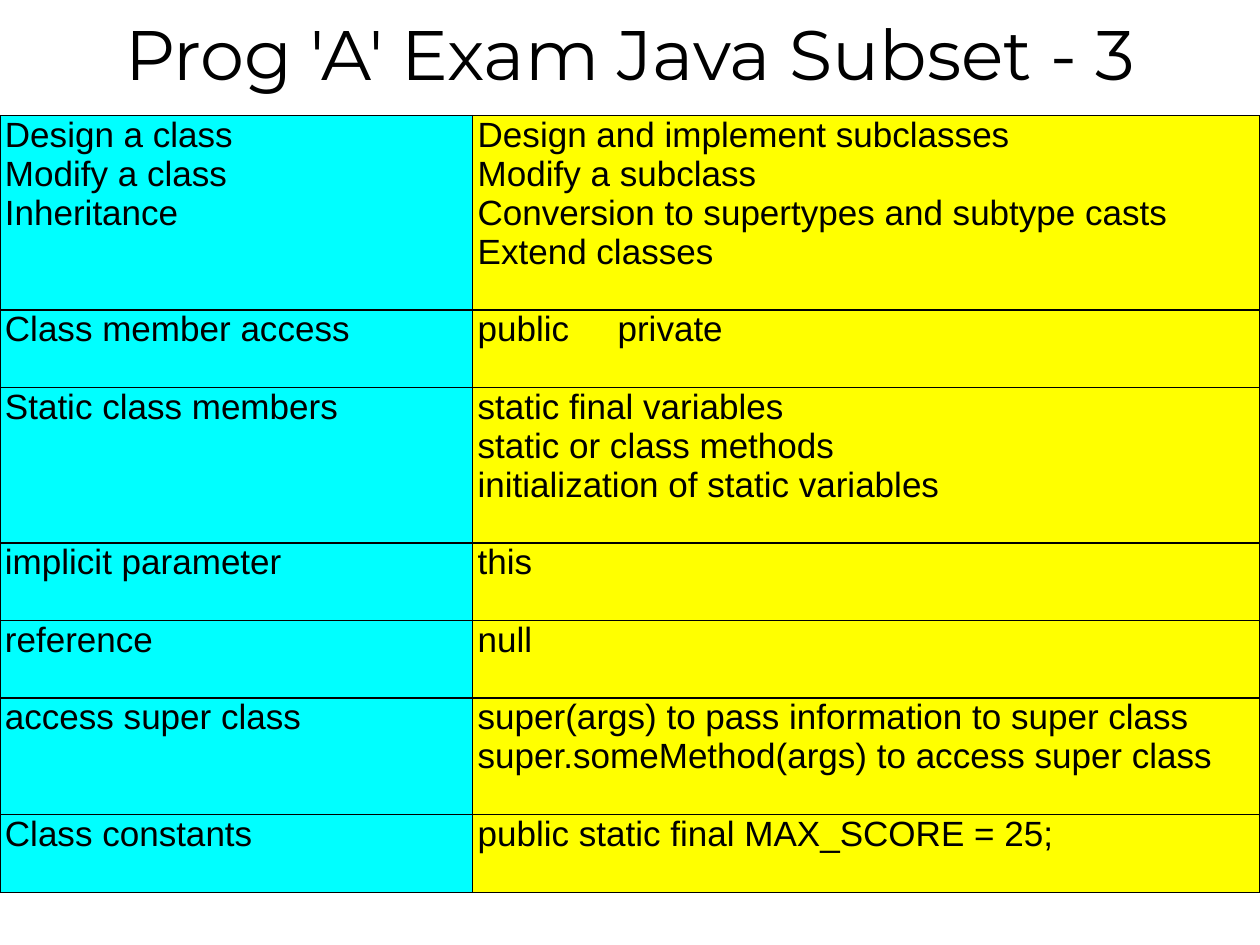
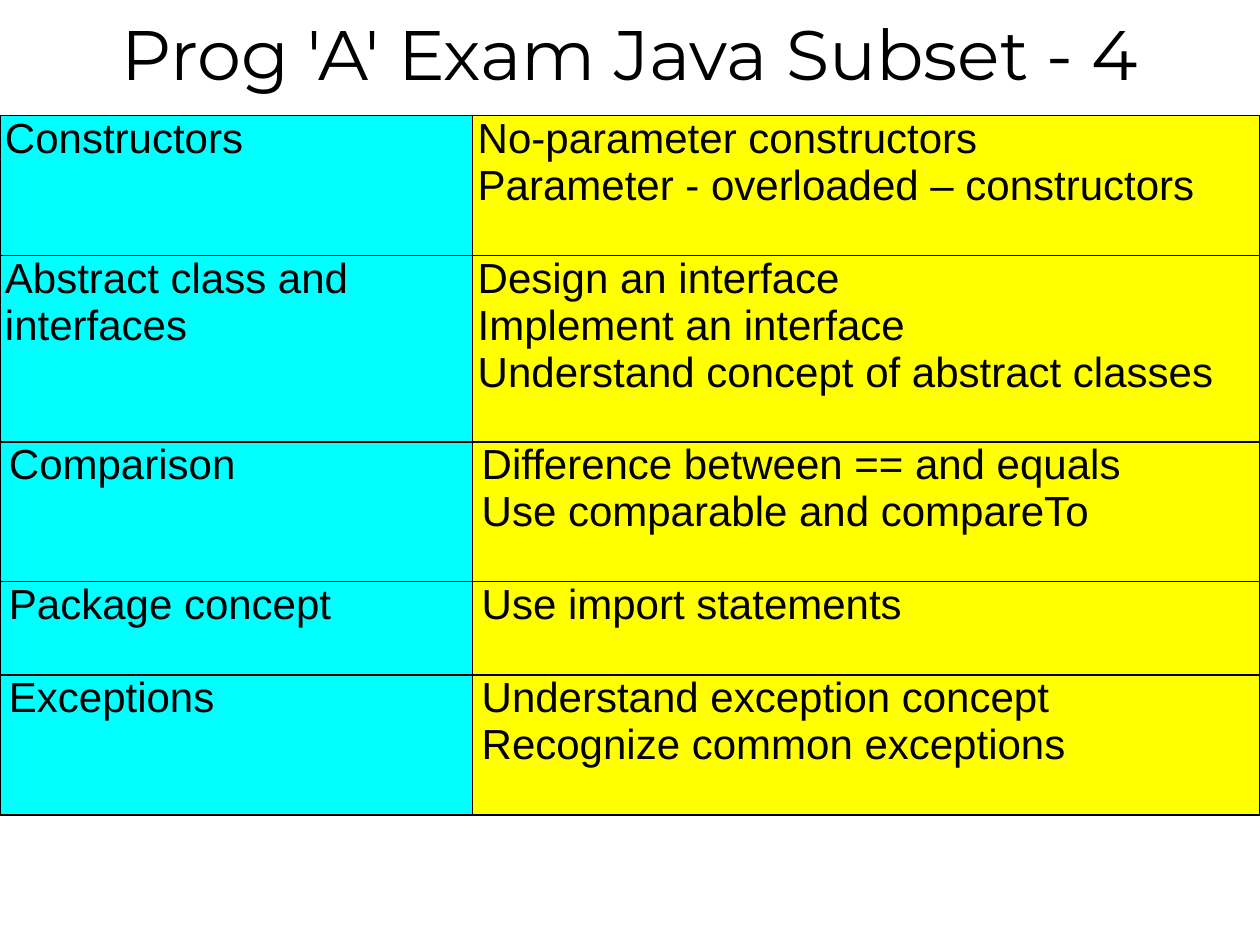
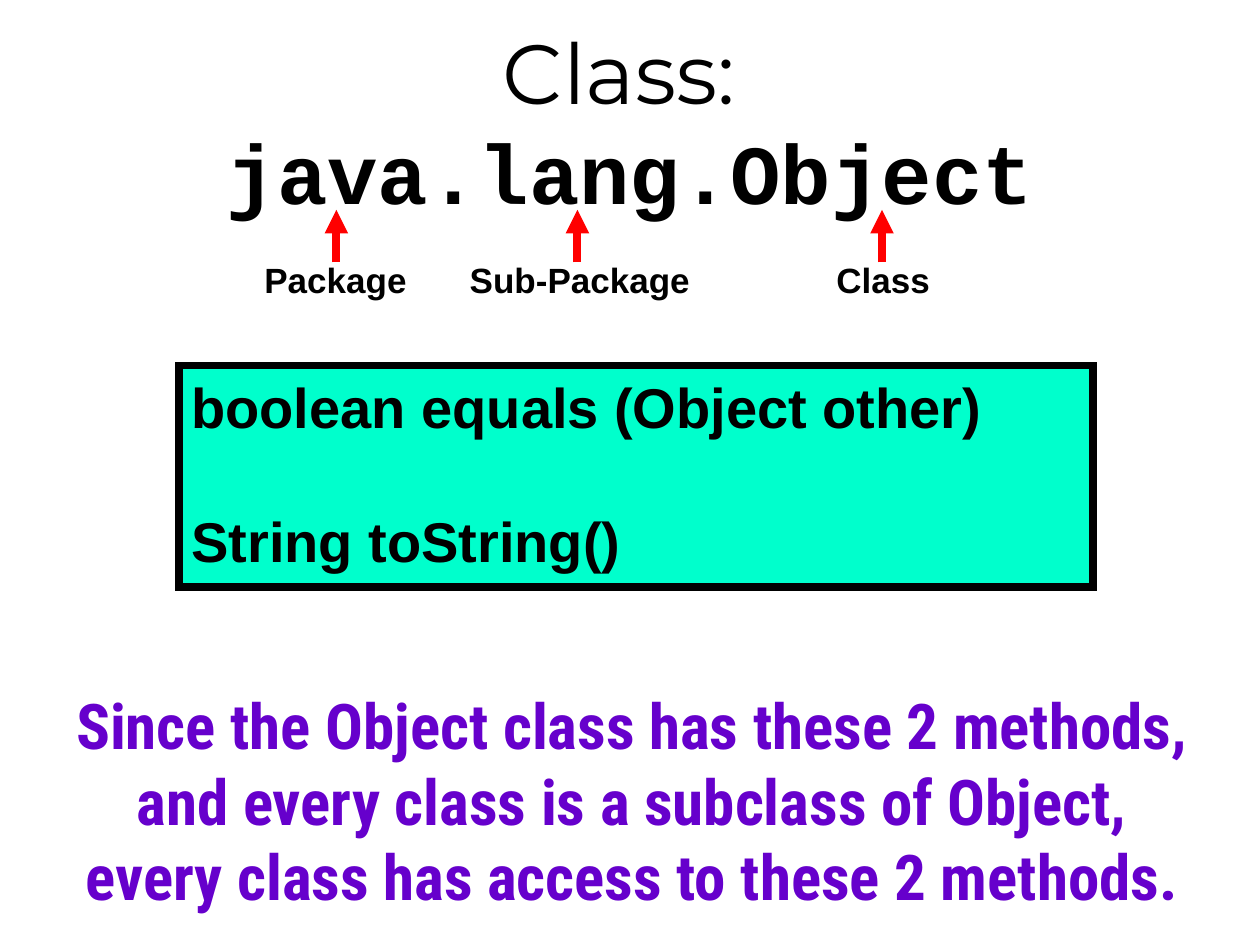
"""Builds three slides on a Java exam subset and the Object class."""
import pptx
import pptx.dml.color
import pptx.enum.shapes
import pptx.enum.text
import pptx.oxml.ns
import pptx.util
from lxml import etree

Cm, Pt = pptx.util.Cm, pptx.util.Pt
ALIGN = pptx.enum.text.PP_ALIGN
ANCHOR = pptx.enum.text.MSO_ANCHOR
qn = pptx.oxml.ns.qn

COLORS = {"text": "000000", "topic": "00FFFF", "detail": "FFFF00",
          "methods": "00FFCC", "arrow": "FF0000", "note": "6600CC"}
WIDTH, HEIGHT = 25.4, 19.05
TABLE_TOP = 2.33
COLUMNS = (("topic", 9.53), ("detail", 15.87))
NARROW, WIDE = 0.1, 0.18
LINE_HEIGHT = 1.11
TAB_STOP = 2.82

SUBSETS = [
    {"title": "Prog 'A' Exam Java Subset - 3", "size": 20, "rows": [
        (NARROW, ["Design a class", "Modify a class", "Inheritance"],
         ["Design and implement subclasses", "Modify a subclass",
          "Conversion to supertypes and subtype casts", "Extend classes"], 5),
        (NARROW, ["Class member access"], ["public\tprivate"], 2),
        (NARROW, ["Static class members"],
         ["static final variables", "static or class methods",
          "initialization of static variables"], 4),
        (NARROW, ["implicit parameter"], ["this"], 2),
        (NARROW, ["reference"], ["null"], 2),
        (NARROW, ["access super class"],
         ["super(args) to pass information to super class",
          "super.someMethod(args) to access super class"], 3),
        (NARROW, ["Class constants"], ["public static final MAX_SCORE = 25;"], 2),
    ]},
    {"title": "Prog 'A' Exam Java Subset - 4", "size": 24, "rows": [
        (NARROW, ["Constructors"],
         ["No-parameter constructors", "Parameter - overloaded – constructors"], 3),
        (NARROW, ["Abstract class and interfaces"],
         ["Design an interface", "Implement an interface",
          "Understand concept of abstract classes"], 4),
        (WIDE, ["Comparison"],
         ["Difference between == and equals", "Use comparable and compareTo"], 3),
        (WIDE, ["Package concept"], ["Use import statements"], 2),
        (WIDE, ["Exceptions"],
         ["Understand exception concept", "Recognize common exceptions"], 3),
    ]},
]

NAME_PARTS = [("Package", 5.08, 3.61, 6.78), ("Sub-Package", 9.22, 5.38, 11.64),
              ("Class", 16.61, 2.67, 17.78)]
METHODS = ["boolean equals (Object other)", "String toString()"]
NOTE = ["Since the Object class has these 2 methods,",
        "and every class is a subclass of Object,",
        "every class has access to these 2 methods."]


def rgb(name):
    return pptx.dml.color.RGBColor.from_string(COLORS[name])


def add_run(p, text, size, font="Arial", bold=False, color="text"):
    r = p.add_run()
    r.text = text
    r.font.size, r.font.name, r.font.bold = Pt(size), font, bold
    r.font.color.rgb = rgb(color)


def add_lines(tf, lines, size, align=ALIGN.LEFT, gap=0, **style):
    for i, line in enumerate(lines):
        p = tf.add_paragraph() if i else tf.paragraphs[0]
        p.alignment = align
        if i and gap:
            p.space_before = Pt(gap)
        if "\t" in line:
            tabs = etree.SubElement(p._p.get_or_add_pPr(), qn("a:tabLst"))
            etree.SubElement(tabs, qn("a:tab"), pos=str(Cm(TAB_STOP)), algn="l")
        add_run(p, line, size, **style)


def add_box(slide, left, top, width, height, wrap=True):
    tf = slide.shapes.add_textbox(Cm(left), Cm(top), Cm(width), Cm(height)).text_frame
    tf.word_wrap = wrap
    return tf


def add_title(slide, height):
    tf = add_box(slide, 0, 0, WIDTH, height)
    tf.vertical_anchor = ANCHOR.MIDDLE
    p = tf.paragraphs[0]
    p.alignment = ALIGN.CENTER
    return p


def add_borders(cell):
    for side in ("lnL", "lnR", "lnT", "lnB"):
        ln = etree.SubElement(cell._tc.get_or_add_tcPr(), qn("a:" + side), w=str(Pt(1)))
        fill = etree.SubElement(ln, qn("a:solidFill"))
        etree.SubElement(fill, qn("a:srgbClr"), val=COLORS["text"])


def add_subset(slide, title, size, rows):
    add_run(add_title(slide, 2.11), title, 40, "Montserrat")
    heights = [Pt(lines * size * LINE_HEIGHT) for *_, lines in rows]
    table = slide.shapes.add_table(len(rows), len(COLUMNS), 0, Cm(TABLE_TOP),
                                   Cm(WIDTH), sum(heights)).table
    table.first_row = table.horz_banding = False
    for col, (_, width) in zip(table.columns, COLUMNS):
        col.width = Cm(width)
    for row, height, (inset, topic, detail, _) in zip(table.rows, heights, rows):
        row.height = height
        for cell, (color, _), lines in zip(row.cells, COLUMNS, (topic, detail)):
            cell.margin_left = cell.margin_right = Cm(inset)
            cell.margin_top = cell.margin_bottom = 0
            add_borders(cell)
            cell.fill.solid()
            cell.fill.fore_color.rgb = rgb(color)
            add_lines(cell.text_frame, lines, size)


def add_arrow(slide, x, start, end):
    line = slide.shapes.add_connector(pptx.enum.shapes.MSO_CONNECTOR.STRAIGHT,
                                      Cm(x), Cm(start), Cm(x), Cm(end))
    line.line.color.rgb = rgb("arrow")
    line.line.width = Pt(4.5)
    etree.SubElement(line.line._get_or_add_ln(), qn("a:tailEnd"), type="triangle")
    etree.SubElement(line._element.spPr, qn("a:effectLst"))


def add_object_class(slide):
    p = add_title(slide, 4.88)
    add_run(p, "Class: ", 48, "Montserrat")
    p.add_line_break()
    add_run(p, "java.lang.Object", 48, "Courier New", bold=True)

    sp = slide.shapes.add_shape(pptx.enum.shapes.MSO_SHAPE.RECTANGLE,
                                Cm(3.61), Cm(7.37), Cm(18.42), Cm(4.47))
    sp.shadow.inherit = False
    sp.fill.solid()
    sp.fill.fore_color.rgb = rgb("methods")
    sp.line.color.rgb = rgb("text")
    sp.line.width = Pt(4.5)
    etree.SubElement(sp.line._get_or_add_ln(), qn("a:miter"), lim="800000")
    tf = sp.text_frame
    tf.vertical_anchor = ANCHOR.TOP
    tf.margin_top = Cm(0.15)
    add_lines(tf, METHODS, 32, gap=38, bold=True)

    add_lines(add_box(slide, 1.12, 13.72, 23.24, 3.86, wrap=False), NOTE, 36,
              ALIGN.CENTER, font="Roboto Condensed", bold=True, color="note")

    for label, left, width, x in NAME_PARTS:
        add_arrow(slide, x, 5.29, 4.23)
        add_lines(add_box(slide, left, 5.08, width, 1.09), [label], 20, bold=True)


def main():
    prs = pptx.Presentation()
    prs.slide_width, prs.slide_height = Cm(WIDTH), Cm(HEIGHT)
    blank = prs.slide_layouts[6]
    for subset in SUBSETS:
        add_subset(prs.slides.add_slide(blank), **subset)
    add_object_class(prs.slides.add_slide(blank))
    prs.save("out.pptx")


if __name__ == "__main__":
    main()
